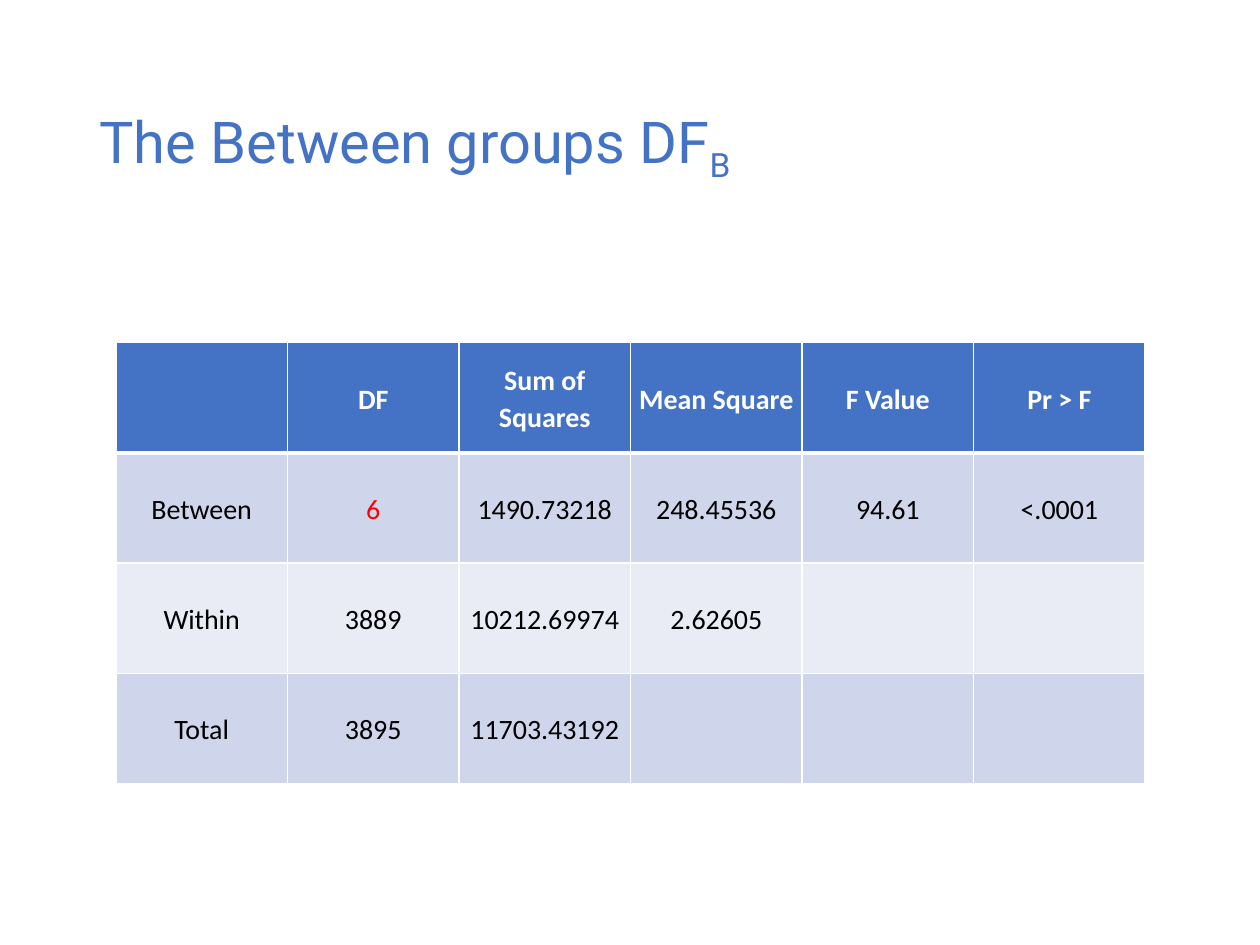
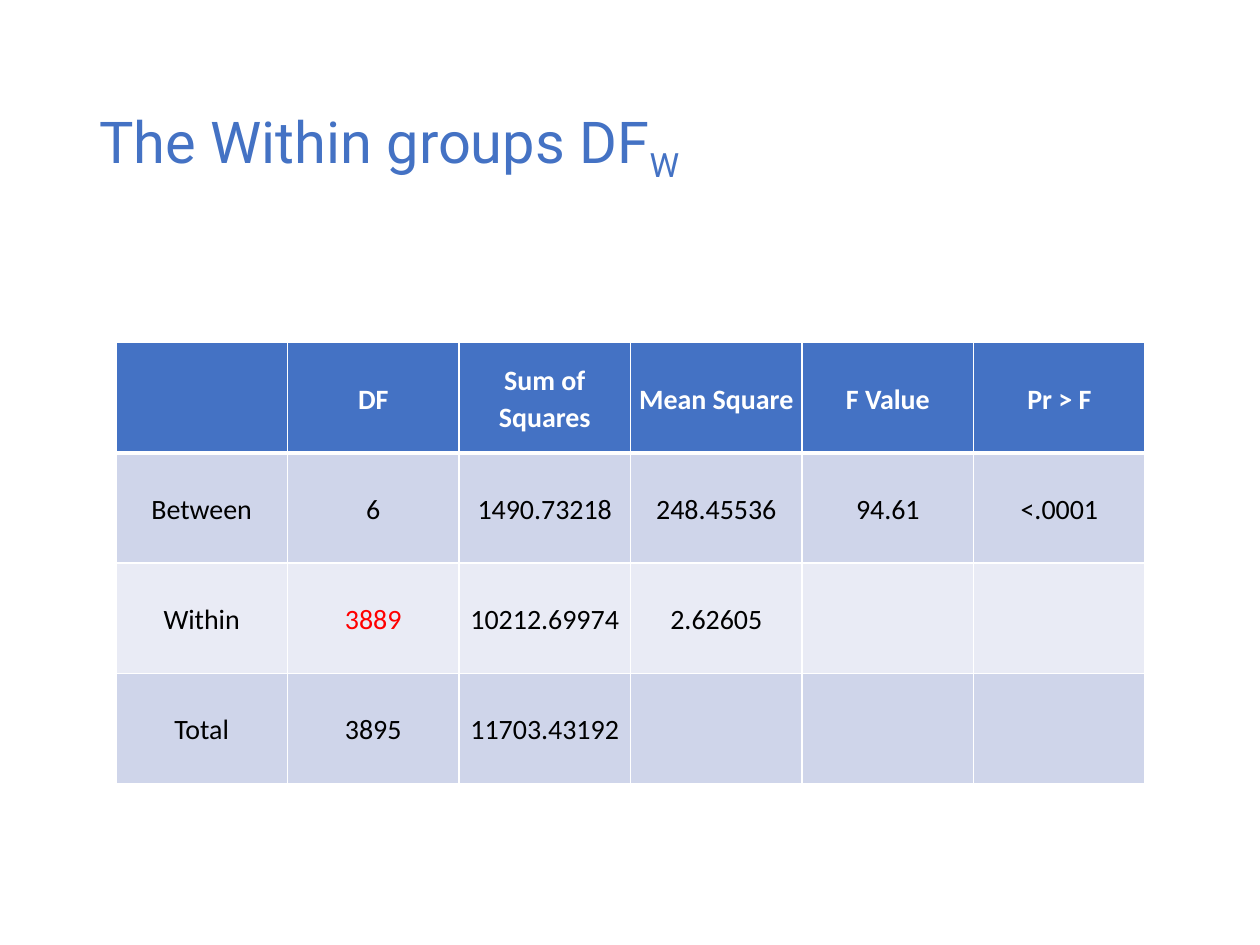
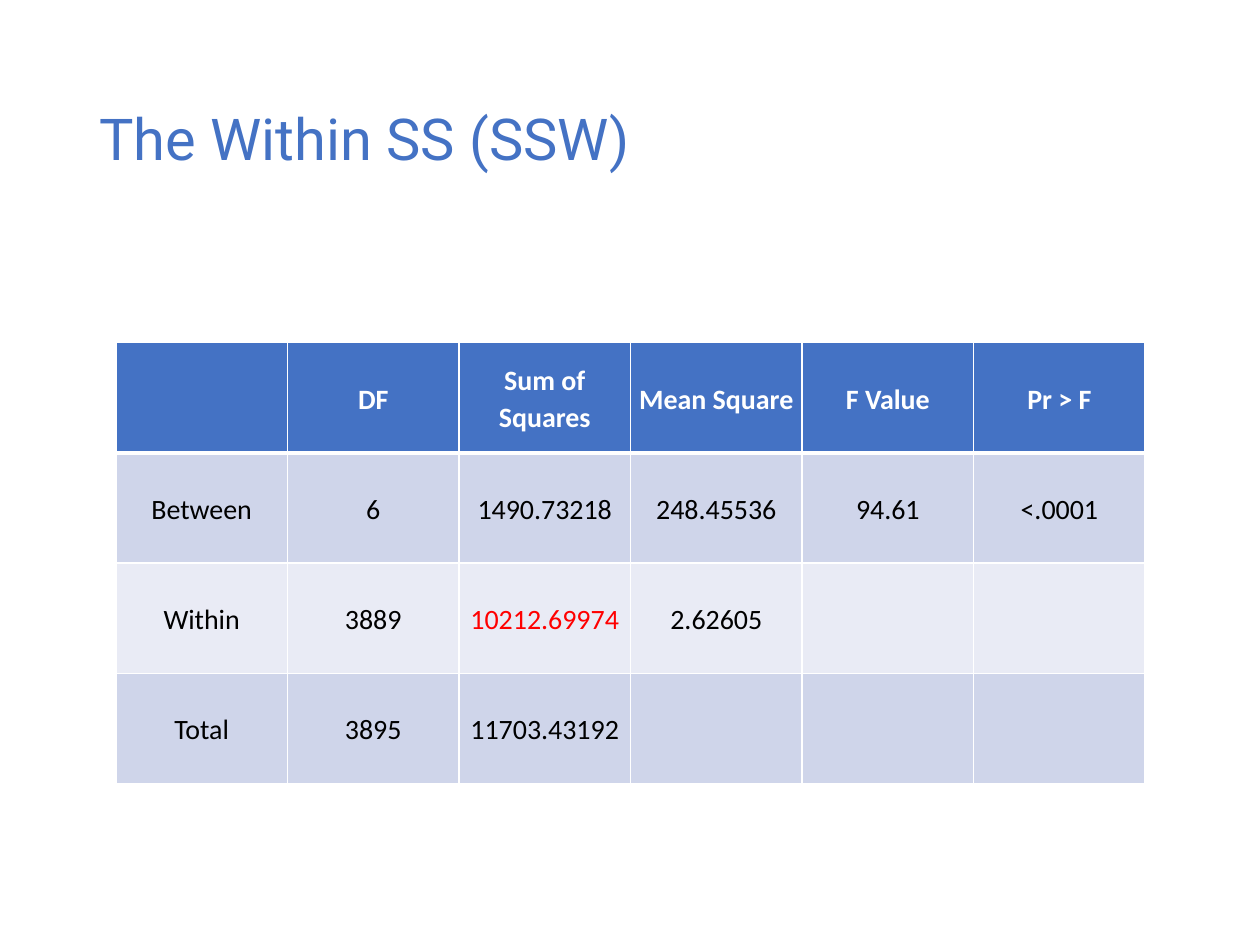
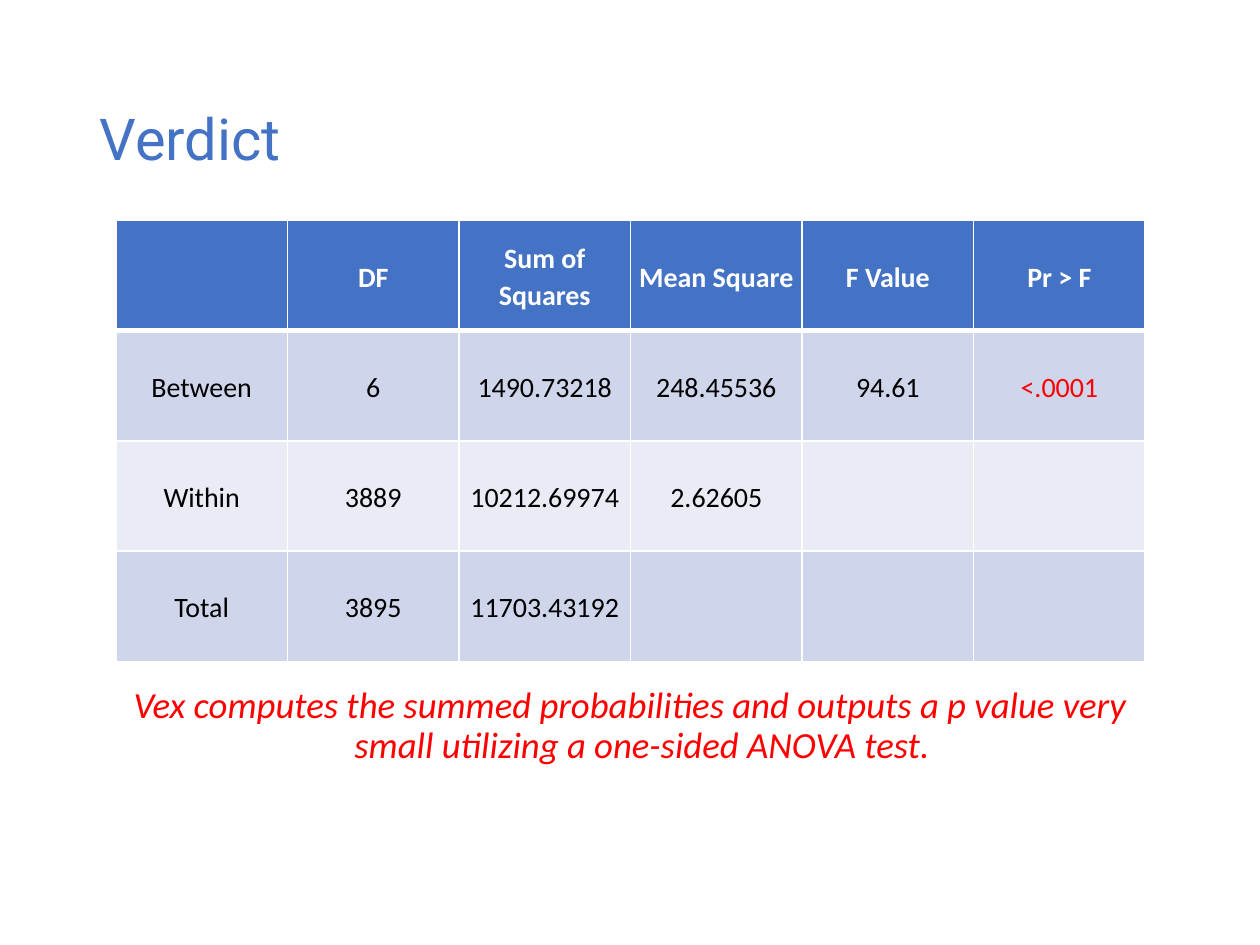
import dataclasses
import typing

import lxml.etree
import pptx
import pptx.dml.color
import pptx.enum.text
import pptx.oxml.ns
import pptx.util

Inches = pptx.util.Inches
Pt = pptx.util.Pt
PP_ALIGN = pptx.enum.text.PP_ALIGN
MSO_ANCHOR = pptx.enum.text.MSO_ANCHOR

BLUE, WHITE, BLACK, RED = "4472C4", "FFFFFF", "000000", "FF0000"
BAND_FILLS = ("CFD5EA", "E9EBF5")

TITLE_ONLY_LAYOUT = 5
TITLE_BOX = {"left": Inches(0.69), "top": Inches(0.4),
             "width": Inches(8.62), "height": Inches(1.45)}
TITLE_FONT = {"name": "Roboto", "size": Pt(33)}
CELL_FONT = {"name": "Calibri", "size": Pt(16)}
VERDICT_FONT = {"name": "Calibri", "size": Pt(21), "italic": True}
CELL_FORMAT = {"margin_left": Inches(0.01), "margin_right": Inches(0.01),
               "margin_top": Inches(0.01), "margin_bottom": 0,
               "vertical_anchor": MSO_ANCHOR.MIDDLE}

TABLE_LEFT, TABLE_WIDTH, TABLE_HEIGHT = Inches(0.92), Inches(8.17), Inches(3.5)
THIN_BORDER, HEADER_BORDER = 1, 3
ANOVA_ROWS = (
    ("", "DF", "Sum of Squares", "Mean Square", "F Value", "Pr > F"),
    ("Between", "6", "1490.73218", "248.45536", "94.61", "<.0001"),
    ("Within", "3889", "10212.69974", "2.62605", "", ""),
    ("Total", "3895", "11703.43192", "", "", ""),
)


@dataclasses.dataclass(frozen=True)
class AnovaSlide:
    title: str
    highlighted_cell: tuple[int, int]
    subscript: str = ""
    table_top: float = 2.72
    verdict: str = ""


ANOVA_SLIDES = (
    AnovaSlide("The Between groups DF", (1, 1), subscript="B"),
    AnovaSlide("The Within groups DF", (2, 1), subscript="W"),
    AnovaSlide("The Within SS (SSW)", (2, 2)),
    AnovaSlide("Verdict", (1, 5), table_top=1.75,
               verdict="Vex computes the summed probabilities and outputs a p value "
                       "very small utilizing a one-sided ANOVA test."),
)


def color(hex_value: str) -> pptx.dml.color.RGBColor:
    return pptx.dml.color.RGBColor.from_string(hex_value)


def apply_format(target: typing.Any, values: dict[str, typing.Any]) -> None:
    for name, value in values.items():
        setattr(target, name, value)


def add_run(paragraph, text: str, font_format: dict, hex_value: str):
    run = paragraph.add_run()
    run.text = text
    apply_format(run.font, font_format)
    run.font.color.rgb = color(hex_value)
    return run


def add_title(slide, text: str, subscript: str) -> None:
    title = slide.shapes.title
    apply_format(title, TITLE_BOX)
    apply_format(title.text_frame, {"word_wrap": True,
                                    "auto_size": pptx.enum.text.MSO_AUTO_SIZE.NONE,
                                    "vertical_anchor": MSO_ANCHOR.MIDDLE})
    paragraph = title.text_frame.paragraphs[0]
    apply_format(paragraph, {"alignment": PP_ALIGN.LEFT, "line_spacing": 0.9})
    add_run(paragraph, text, TITLE_FONT, BLUE)
    if subscript:
        run = add_run(paragraph, subscript, TITLE_FONT, BLUE)
        run._r.get_or_add_rPr().set("baseline", "-25000")


def set_borders(cell, row: int) -> None:
    """Draw white cell borders, thicker where the header meets the body."""
    widths = {"lnL": THIN_BORDER, "lnR": THIN_BORDER,
              "lnT": HEADER_BORDER if row == 1 else THIN_BORDER,
              "lnB": HEADER_BORDER if row == 0 else THIN_BORDER}
    qualified = pptx.oxml.ns.qn
    properties = cell._tc.get_or_add_tcPr()
    for tag, width in widths.items():
        line = lxml.etree.SubElement(properties, qualified(f"a:{tag}"), w=str(Pt(width)))
        fill = lxml.etree.SubElement(line, qualified("a:solidFill"))
        lxml.etree.SubElement(fill, qualified("a:srgbClr"), val=WHITE)


def add_anova_table(slide, top: float, highlighted_cell: tuple[int, int]) -> None:
    table = slide.shapes.add_table(len(ANOVA_ROWS), len(ANOVA_ROWS[0]), TABLE_LEFT,
                                   Inches(top), TABLE_WIDTH, TABLE_HEIGHT).table
    for row, texts in enumerate(ANOVA_ROWS):
        is_header = row == 0
        for column, text in enumerate(texts):
            cell = table.cell(row, column)
            set_borders(cell, row)
            cell.fill.solid()
            cell.fill.fore_color.rgb = color(BLUE if is_header else BAND_FILLS[(row - 1) % 2])
            apply_format(cell, CELL_FORMAT)
            if not text:
                continue
            paragraph = cell.text_frame.paragraphs[0]
            apply_format(paragraph, {"alignment": PP_ALIGN.CENTER, "line_spacing": 1.07})
            body_color = RED if (row, column) == highlighted_cell else BLACK
            add_run(paragraph, text, CELL_FONT | {"bold": is_header},
                    WHITE if is_header else body_color)


def add_verdict(slide, text: str) -> None:
    text_box = slide.shapes.add_textbox(TITLE_BOX["left"], Inches(5.4),
                                        TITLE_BOX["width"], Inches(0.75))
    text_box.text_frame.word_wrap = True
    paragraph = text_box.text_frame.paragraphs[0]
    apply_format(paragraph, {"alignment": PP_ALIGN.CENTER, "line_spacing": 0.9})
    properties = paragraph._p.get_or_add_pPr()
    properties.set("marL", str(Inches(0.19)))
    properties.set("indent", str(-Inches(0.19)))
    add_run(paragraph, text, VERDICT_FONT, RED)


def main() -> None:
    presentation = pptx.Presentation()
    apply_format(presentation, {"slide_width": Inches(10), "slide_height": Inches(7.5)})
    layout = presentation.slide_layouts[TITLE_ONLY_LAYOUT]
    for content in ANOVA_SLIDES:
        slide = presentation.slides.add_slide(layout)
        add_title(slide, content.title, content.subscript)
        if content.verdict:
            add_verdict(slide, content.verdict)
        add_anova_table(slide, content.table_top, content.highlighted_cell)
    presentation.save("out.pptx")


if __name__ == "__main__":
    main()
